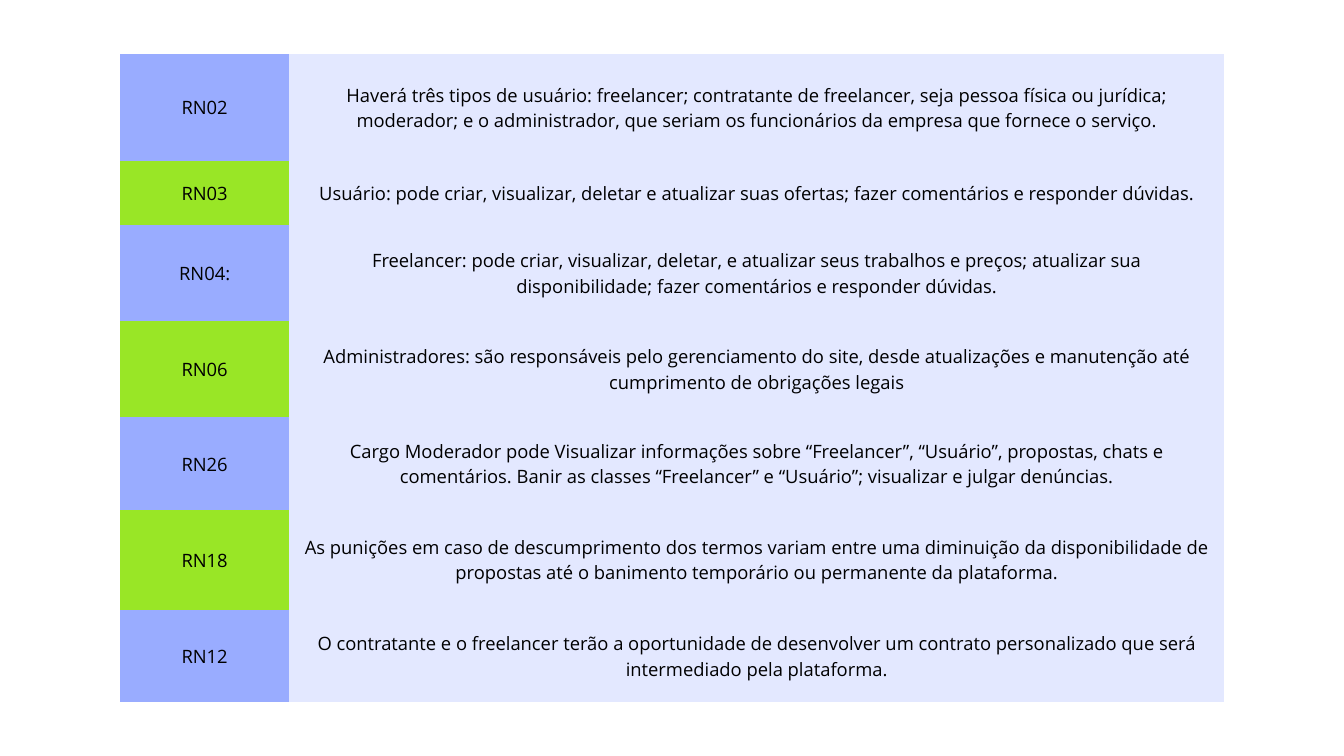
from lxml import etree
from pptx import Presentation
from pptx import util as u
from pptx.dml.color import RGBColor
from pptx.enum import text
from pptx.oxml.ns import qn

BLUE = RGBColor(0x99, 0xAC, 0xFF)
GREEN = RGBColor(0x99, 0xE6, 0x26)
PALE = RGBColor(0xE3, 0xE8, 0xFF)
BLACK = RGBColor(0, 0, 0)

LEFT, TOP = 128.9, 57.6
COLUMN_WIDTHS = (180.7, 1002.3)

CELL_FORMAT = dict.fromkeys(
    ("margin_left", "margin_right", "margin_top", "margin_bottom"), u.Pt(14.4))
CELL_FORMAT["vertical_anchor"] = text.MSO_ANCHOR.MIDDLE
PARAGRAPH_FORMAT = {"alignment": text.PP_ALIGN.CENTER, "line_spacing": u.Pt(27.5)}
FONT_FORMAT = {"name": "Open Sans", "size": u.Pt(19.7)}

# Row height, rule code, rule description
RULES = [
    (115.2, "RN02", "Haverá três tipos de usuário: freelancer; contratante de "
     "freelancer, seja pessoa física ou jurídica; moderador; e o administrador, "
     "que seriam os funcionários da empresa que fornece o serviço."),
    (68.4, "RN03", "Usuário: pode criar, visualizar, deletar e atualizar suas "
     "ofertas; fazer comentários e responder dúvidas."),
    (103, "RN04:", "Freelancer: pode criar, visualizar, deletar, e atualizar seus "
     "trabalhos e preços; atualizar sua disponibilidade; fazer comentários e "
     "responder dúvidas."),
    (103, "RN06", "Administradores: são responsáveis pelo gerenciamento do site, "
     "desde atualizações e manutenção até cumprimento de obrigações legais"),
    (99, "RN26", "Cargo Moderador pode Visualizar informações sobre “Freelancer”, "
     "“Usuário”, propostas, chats e comentários. Banir as classes “Freelancer” e "
     "“Usuário”; visualizar e julgar denúncias."),
    (107, "RN18", "As punições em caso de descumprimento dos termos variam entre "
     "uma diminuição da disponibilidade de propostas até o banimento temporário "
     "ou permanente da plataforma."),
    (99, "RN12", "O contratante e o freelancer terão a oportunidade de desenvolver "
     "um contrato personalizado que será intermediado pela plataforma."),
]


def apply_format(target, values):
    for name, value in values.items():
        setattr(target, name, value)


def clear_borders(cell):
    tc_pr = cell._tc.get_or_add_tcPr()
    for side in ("a:lnL", "a:lnR", "a:lnT", "a:lnB"):
        line = etree.SubElement(tc_pr, qn(side), w="0")
        etree.SubElement(line, qn("a:noFill"))


def fill_cell(cell, content, color):
    apply_format(cell, CELL_FORMAT)
    clear_borders(cell)
    cell.fill.solid()
    cell.fill.fore_color.rgb = color
    p = cell.text_frame.paragraphs[0]
    apply_format(p, PARAGRAPH_FORMAT)
    r = p.add_run()
    r.text = content
    apply_format(r.font, FONT_FORMAT)
    r.font.color.rgb = BLACK


def add_rules_table(s):
    total_height = sum(height for height, _, _ in RULES)
    table = s.shapes.add_table(
        len(RULES), len(COLUMN_WIDTHS), u.Pt(LEFT), u.Pt(TOP),
        u.Pt(sum(COLUMN_WIDTHS)), u.Pt(total_height)).table
    apply_format(table, {"first_row": False, "horz_banding": False})
    for column, width in zip(table.columns, COLUMN_WIDTHS):
        column.width = u.Pt(width)
    for i, (height, code, description) in enumerate(RULES):
        table.rows[i].height = u.Pt(height)
        # Code cells alternate between blue and green
        fill_cell(table.cell(i, 0), code, GREEN if i % 2 else BLUE)
        fill_cell(table.cell(i, 1), description, PALE)


def main():
    prs = Presentation()
    apply_format(prs, {"slide_width": u.Pt(1440), "slide_height": u.Pt(810)})
    s = prs.slides.add_slide(prs.slide_layouts[6])
    add_rules_table(s)
    prs.save("out.pptx")


if __name__ == "__main__":
    main()
